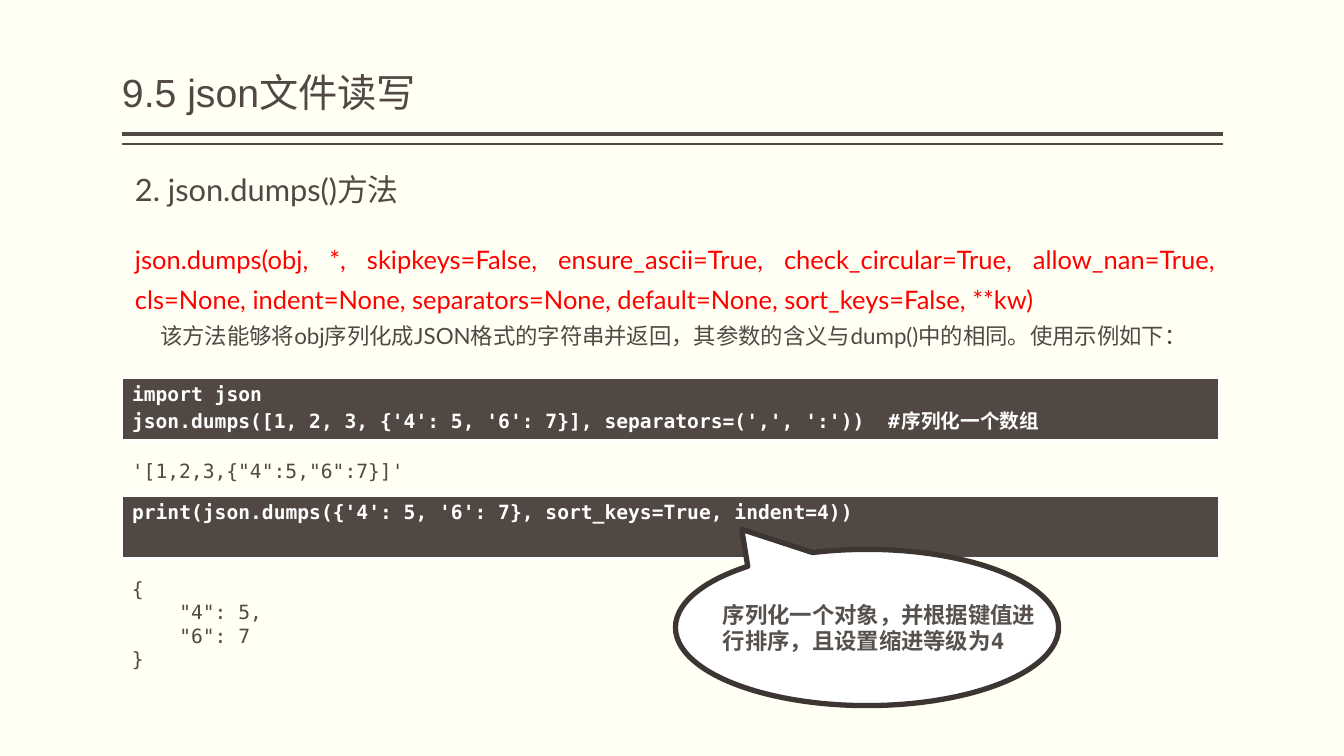
from lxml.etree import SubElement
from pptx import Presentation
from pptx.dml.color import RGBColor
from pptx.enum.shapes import MSO_CONNECTOR as Connector, MSO_SHAPE as Preset
from pptx.enum.text import MSO_ANCHOR as Anchor, MSO_AUTO_SIZE as AutoSize, PP_ALIGN as Align
from pptx.oxml.ns import qn
from pptx.util import Inches, Pt

COLORS = {"paper": "FFFFF3", "ink": "514843", "red": "FF0000", "white": "FFFFFF",
          "outline": "3C3532", "note": "56514D"}
MONO = "DejaVu Sans Mono"
LEFT = 1.21
TITLE = {"size": Pt(28), "name": "Arial", "color": "ink"}
HEADING = {"size": Pt(22), "name": "Lato", "color": "ink"}
SIGNATURE = {"size": Pt(18.2), "name": "Lato", "color": "red"}
BODY = {"size": Pt(16), "name": "Lato", "color": "ink"}
OUTPUT = {"size": Pt(14), "name": MONO, "color": "ink"}
CODE = {"size": Pt(14), "name": MONO, "color": "white", "bold": True}
NOTE = {"size": Pt(16), "name": MONO, "color": "note", "bold": True}


def color(name):
    return RGBColor.from_string(COLORS[name])


def write(frame, lines):
    for index, (text, style, layout) in enumerate(lines):
        para = frame.paragraphs[0] if index == 0 else frame.add_paragraph()
        layout = dict(layout)
        for side in ("marL", "indent"):
            if side in layout:
                para._p.get_or_add_pPr().set(side, str(Inches(layout.pop(side))))
        for key, value in layout.items():
            setattr(para, key, value)
        span = para.add_run()
        span.text = text
        span._r.get_or_add_rPr().set("lang", "zh-CN")
        for key, value in style.items():
            if key == "color":
                span.font.color.rgb = color(value)
            else:
                setattr(span.font, key, value)


def add_text(page, place, lines, auto_size=AutoSize.NONE):
    box = page.shapes.add_textbox(*map(Inches, place))
    box.text_frame.word_wrap = True
    box.text_frame.auto_size = auto_size
    write(box.text_frame, lines)


def add_title(page, text):
    title = page.shapes.title
    for key, value in zip(("left", "top", "width", "height"), (LEFT, 0.58, 10.92, 0.62)):
        setattr(title, key, Inches(value))
    frame = title.text_frame
    frame.margin_left = frame.margin_right = 0
    frame.vertical_anchor = Anchor.BOTTOM
    frame.auto_size = AutoSize.NONE
    write(frame, [(text, TITLE, {"alignment": Align.LEFT, "line_spacing": 0.9})])


def add_rule(page, top, weight):
    rule = page.shapes.add_connector(Connector.STRAIGHT, Inches(LEFT), Inches(top),
                                     Inches(12.13), Inches(top))
    rule.line.color.rgb = color("ink")
    rule.line.width = Pt(weight)
    SubElement(rule._element.spPr, qn("a:effectLst"))


def add_border(cell, side, weight):
    properties = cell._tc.get_or_add_tcPr()
    border = SubElement(properties, qn(f"a:ln{side}"), w=str(Pt(weight)))
    fill = SubElement(border, qn("a:solidFill"))
    SubElement(fill, qn("a:srgbClr"), val=COLORS["white"])


def add_code(page, top, lines):
    table = page.shapes.add_table(1, 1, Inches(LEFT), Inches(top),
                                  Inches(10.88), Inches(0.62)).table
    table.first_row = table.horz_banding = False
    cell = table.cell(0, 0)
    for side, weight in (("L", 1), ("R", 1), ("T", 1), ("B", 3)):
        add_border(cell, side, weight)
    cell.fill.solid()
    cell.fill.fore_color.rgb = color("ink")
    write(cell.text_frame, [(line, CODE, {}) for line in lines])


def add_callout(page, text):
    bubble = page.shapes.add_shape(Preset.OVAL_CALLOUT, Inches(6.7), Inches(5.45),
                                   Inches(3.8), Inches(1.55))
    bubble.adjustments[0] = -0.327
    bubble.adjustments[1] = -0.628
    bubble.shadow.inherit = False
    bubble.fill.solid()
    bubble.fill.fore_color.rgb = color("white")
    bubble.line.color.rgb = color("outline")
    bubble.line.width = Pt(3.78)
    add_text(page, (7.07, 5.91, 3.31, 0.64), [(text, NOTE, {})], AutoSize.SHAPE_TO_FIT_TEXT)


def main():
    deck = Presentation()
    deck.slide_width, deck.slide_height = Inches(13.33), Inches(7.5)
    page = deck.slides.add_slide(deck.slide_layouts[5])
    page.background.fill.solid()
    page.background.fill.fore_color.rgb = color("paper")

    add_rule(page, 1.33, 3)
    add_rule(page, 1.43, 1)
    add_title(page, "9.5 json文件读写")
    add_text(page, (1.24, 1.64, 6.43, 0.62),
             [("2. json.dumps()方法", HEADING, {"space_before": Pt(18)})])
    justified = {"alignment": Align.JUSTIFY, "line_spacing": 1.3}
    add_text(page, (1.24, 2.28, 10.92, 1.38), [
        ("json.dumps(obj, *, skipkeys=False, ensure_ascii=True, check_circular=True, "
         "allow_nan=True, cls=None, indent=None, separators=None, default=None, "
         "sort_keys=False, **kw)", SIGNATURE, justified),
        ("该方法能够将obj序列化成JSON格式的字符串并返回，其参数的含义与dump()中的相同。使用示例如下：",
         BODY, {**justified, "indent": 0.25}),
    ])
    add_code(page, 3.75, [
        "import json",
        "json.dumps([1, 2, 3, {'4': 5, '6': 7}], separators=(',', ':'))  #序列化一个数组",
    ])
    add_text(page, (LEFT, 4.5, 8.92, 0.34), [("'[1,2,3,{\"4\":5,\"6\":7}]'", OUTPUT, {})],
             AutoSize.SHAPE_TO_FIT_TEXT)
    add_code(page, 4.92, ["print(json.dumps({'4': 5, '6': 7}, sort_keys=True, indent=4))"])
    nested = {"marL": 0.47}
    add_text(page, (LEFT, 5.67, 8.92, 1.04), [
        ("{", OUTPUT, {}),
        ('"4": 5,', OUTPUT, nested),
        ('"6": 7', OUTPUT, nested),
        ("}", OUTPUT, {}),
    ], AutoSize.SHAPE_TO_FIT_TEXT)
    add_callout(page, "序列化一个对象，并根据键值进行排序，且设置缩进等级为4")
    deck.save("out.pptx")


if __name__ == "__main__":
    main()
